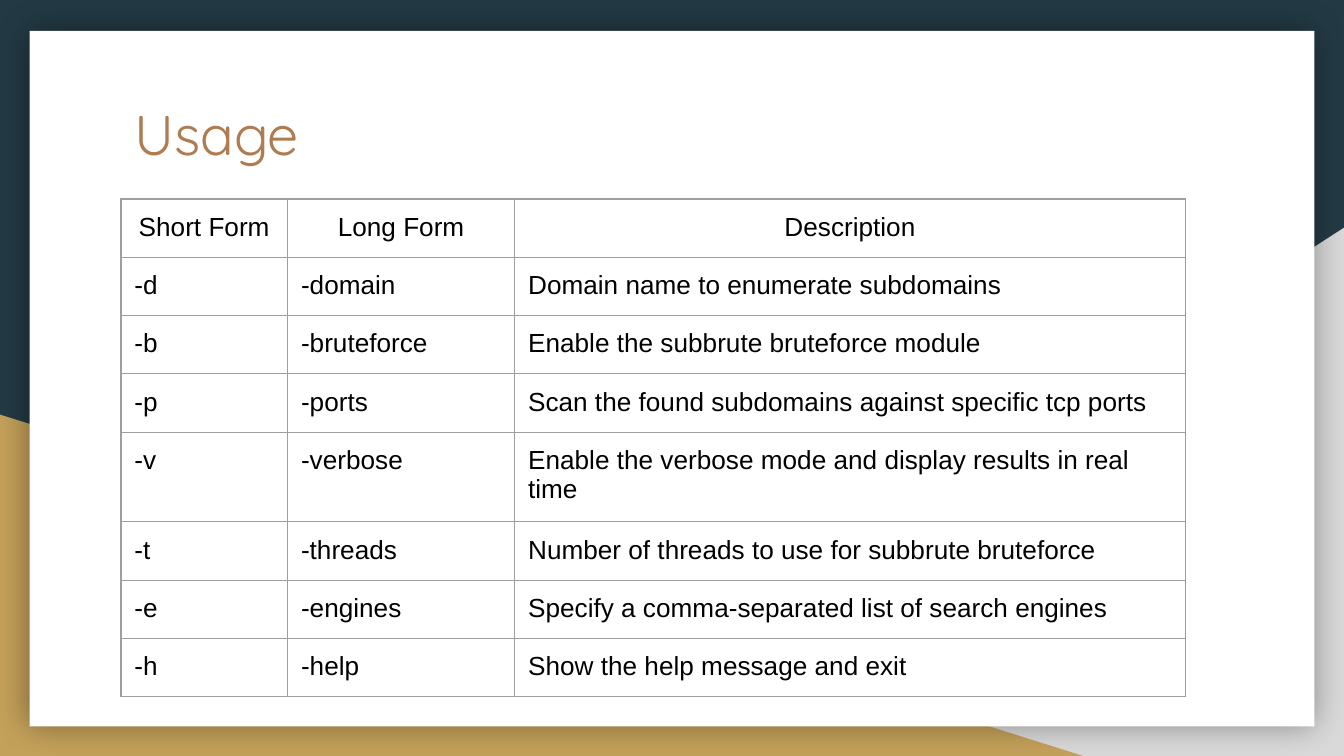
from lxml.etree import SubElement
from pptx import Presentation
from pptx.dml.color import RGBColor
from pptx.enum.shapes import MSO_SHAPE
from pptx.enum.text import MSO_ANCHOR, PP_ALIGN
from pptx.oxml import parse_xml
from pptx.oxml.ns import nsdecls, qn
from pptx.util import Inches, Pt

COLORS = {
    "navy": "233A44",
    "gray": "D9D9D9",
    "gold": "C4A15A",
    "white": "FFFFFF",
    "copper": "AF7B51",
    "black": "000000",
    "rule": "9E9E9E",
}
WIDTH = 10
HEIGHT = WIDTH * 9 / 16
PAD = 0.1
COLS = [1.24, 1.69, 4.99]
ROW = 0.42
USAGE = [
    ("Short Form", "Long Form", "Description"),
    ("-d", "-domain", "Domain name to enumerate subdomains"),
    ("-b", "-bruteforce", "Enable the subbrute bruteforce module"),
    ("-p", "-ports", "Scan the found subdomains against specific tcp ports"),
    ("-v", "-verbose", "Enable the verbose mode and display results in real time"),
    ("-t", "-threads", "Number of threads to use for subbrute bruteforce"),
    ("-e", "-engines", "Specify a comma-separated list of search engines"),
    ("-h", "-help", "Show the help message and exit"),
]


def color(name):
    return RGBColor.from_string(COLORS[name])


def style(para, size, font, name):
    for run in para.runs:
        run.font.size = Pt(size)
        run.font.name = font
        run.font.color.rgb = color(name)


def pad(part):
    part.margin_left = part.margin_right = Inches(PAD)
    part.margin_top = part.margin_bottom = Inches(PAD)


def add_block(slide, kind, box, name):
    shape = slide.shapes.add_shape(kind, *map(Inches, box))
    shape.shadow.inherit = False
    shape.fill.solid()
    shape.fill.fore_color.rgb = color(name)
    shape.line.fill.background()
    return shape


def add_glow(shape):
    effects = shape._element.spPr.find(qn("a:effectLst"))
    effects.append(parse_xml(
        f'<a:outerShdw {nsdecls("a")} blurRad="{Pt(18)}" dist="0" dir="0" '
        f'algn="ctr" rotWithShape="0"><a:srgbClr val="{COLORS["black"]}">'
        '<a:alpha val="40000"/></a:srgbClr></a:outerShdw>'
    ))


def add_backdrop(slide, box):
    left, top, width, height = box
    right, bottom = left + width, top + height
    slide.background.fill.solid()
    slide.background.fill.fore_color.rgb = color("navy")
    gray = add_block(slide, MSO_SHAPE.RIGHT_TRIANGLE,
                     (right - 6.08, bottom - 3.93, 6.08, 3.93), "gray")
    gray._element.spPr.xfrm.set("flipH", "1")
    add_block(slide, MSO_SHAPE.RIGHT_TRIANGLE,
              (left, bottom - 2.54, 8.06, 2.54), "gold")
    card = add_block(slide, MSO_SHAPE.RECTANGLE,
                     (left + 0.22, top + 0.23, width - 0.44, height - 0.45), "white")
    add_glow(card)


def add_title(slide, box, text):
    frame = slide.shapes.add_textbox(*map(Inches, box)).text_frame
    frame.word_wrap = True
    frame.vertical_anchor = MSO_ANCHOR.TOP
    pad(frame)
    frame.text = text
    style(frame.paragraphs[0], 30, "Quicksand", "copper")


def add_border(cell):
    props = cell._tc.get_or_add_tcPr()
    for side in ("a:lnL", "a:lnR", "a:lnT", "a:lnB"):
        line = SubElement(props, qn(side), w=str(Pt(0.75)))
        fill = SubElement(line, qn("a:solidFill"))
        SubElement(fill, qn("a:srgbClr"), val=COLORS["rule"])


def add_usage(slide, box, rows):
    frame = slide.shapes.add_table(len(rows), len(COLS), *map(Inches, box))
    table = frame.table
    table.first_row = table.horz_banding = False
    for col, width in zip(table.columns, COLS):
        col.width = Inches(width)
    for r, texts in enumerate(rows):
        table.rows[r].height = Inches(ROW)
        for c, text in enumerate(texts):
            cell = table.cell(r, c)
            pad(cell)
            add_border(cell)
            cell.fill.background()
            cell.text = text
            para = cell.text_frame.paragraphs[0]
            para.alignment = PP_ALIGN.LEFT if r else PP_ALIGN.CENTER
            style(para, 14, "Arial", "black")
    frame.width, frame.height = map(Inches, box[2:])


def main():
    deck = Presentation()
    deck.slide_width, deck.slide_height = Inches(WIDTH), Inches(HEIGHT)
    slide = deck.slides.add_slide(deck.slide_layouts[6])
    add_backdrop(slide, (0, 0, WIDTH, HEIGHT))
    add_title(slide, (0.9, 0.64, 8.21, 0.83), "Usage")
    add_usage(slide, (0.9, 1.48, 3.28, 3.28), USAGE)
    deck.save("out.pptx")


if __name__ == "__main__":
    main()
